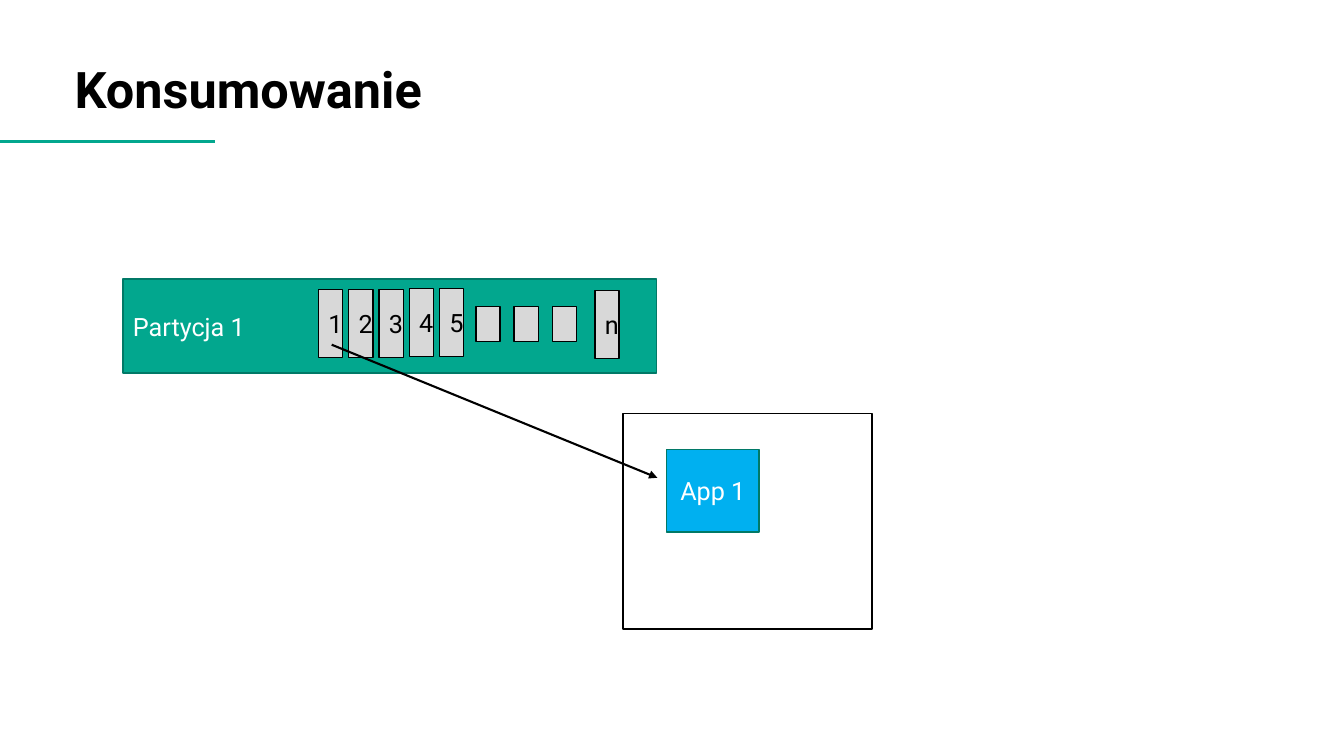
from lxml.etree import SubElement
from pptx import Presentation
from pptx.dml.color import RGBColor
from pptx.enum.shapes import MSO_CONNECTOR, MSO_SHAPE
from pptx.enum.text import MSO_ANCHOR, PP_ALIGN
from pptx.oxml.ns import qn
from pptx.util import Inches, Pt

COLORS = {
    "teal": "02A78E",
    "dark_teal": "017967",
    "blue": "00B0F0",
    "gray": "D8D8D8",
    "black": "000000",
    "white": "FFFFFF",
}


def rgb(name):
    return RGBColor.from_string(COLORS[name])


class SlideBuilder:
    font = "Roboto"

    def __init__(self, s):
        self.s = s

    def set_text(self, tf, text, size, color, align, bold=False):
        tf.word_wrap = True
        tf.text = text
        p = tf.paragraphs[0]
        p.alignment = align
        font = p.runs[0].font
        font.name, font.size, font.bold = self.font, Pt(size), bold
        font.color.rgb = rgb(color)

    def title(self, text, x, y, w, h):
        tf = self.s.shapes.add_textbox(Inches(x), Inches(y), Inches(w), Inches(h)).text_frame
        tf.margin_left = tf.margin_right = 0
        tf.vertical_anchor = MSO_ANCHOR.BOTTOM
        self.set_text(tf, text, 36, "black", PP_ALIGN.LEFT, bold=True)

    def box(self, x, y, w, h, fill=None, line="black", text="", color="black", align=PP_ALIGN.CENTER):
        sp = self.s.shapes.add_shape(
            MSO_SHAPE.RECTANGLE, Inches(x), Inches(y), Inches(w), Inches(h))
        sp.shadow.inherit = False
        if fill:
            sp.fill.solid()
            sp.fill.fore_color.rgb = rgb(fill)
        else:
            sp.fill.background()
        sp.line.color.rgb = rgb(line)
        sp.line.width = Pt(1)
        if text:
            sp.text_frame.vertical_anchor = MSO_ANCHOR.MIDDLE
            self.set_text(sp.text_frame, text, 18, color, align)

    def line(self, x1, y1, x2, y2, color, width, arrow=False):
        c = self.s.shapes.add_connector(
            MSO_CONNECTOR.STRAIGHT, Inches(x1), Inches(y1), Inches(x2), Inches(y2))
        c.line.color.rgb = rgb(color)
        c.line.width = Pt(width)
        spPr = c._element.spPr
        if arrow:
            SubElement(spPr.find(qn("a:ln")), qn("a:tailEnd"), type="triangle")
        SubElement(spPr, qn("a:effectLst"))


def main():
    prs = Presentation()
    prs.slide_width, prs.slide_height = Inches(13.33), Inches(7.5)
    b = SlideBuilder(prs.slides.add_slide(prs.slide_layouts[6]))

    b.line(2.13, 1.4, 0, 1.4, "teal", 2)
    b.title("Konsumowanie", 0.74, 0, 11.84, 1.23)

    b.box(1.22, 2.77, 5.29, 0.93, "teal", "dark_teal", "Partycja 1", "white", PP_ALIGN.LEFT)
    message_w, message_h = 0.24, 0.68
    for i in range(5):
        y = 2.87 if i < 3 else 2.86
        b.box(3.16 + 0.3 * i, y, message_w, message_h, "gray", text=str(i + 1))
    b.box(5.9, 2.88, message_w, message_h, "gray", text="n")
    for i in range(3):
        b.box(4.72 + 0.38 * i, 3.04, message_w, 0.35, "gray")

    b.box(6.18, 4.1, 2.47, 2.14)
    b.line(3.29, 3.42, 6.52, 4.74, "black", 1.5, arrow=True)
    b.box(6.61, 4.46, 0.92, 0.82, "blue", "dark_teal", "App 1", "white")

    prs.save("out.pptx")


if __name__ == "__main__":
    main()
